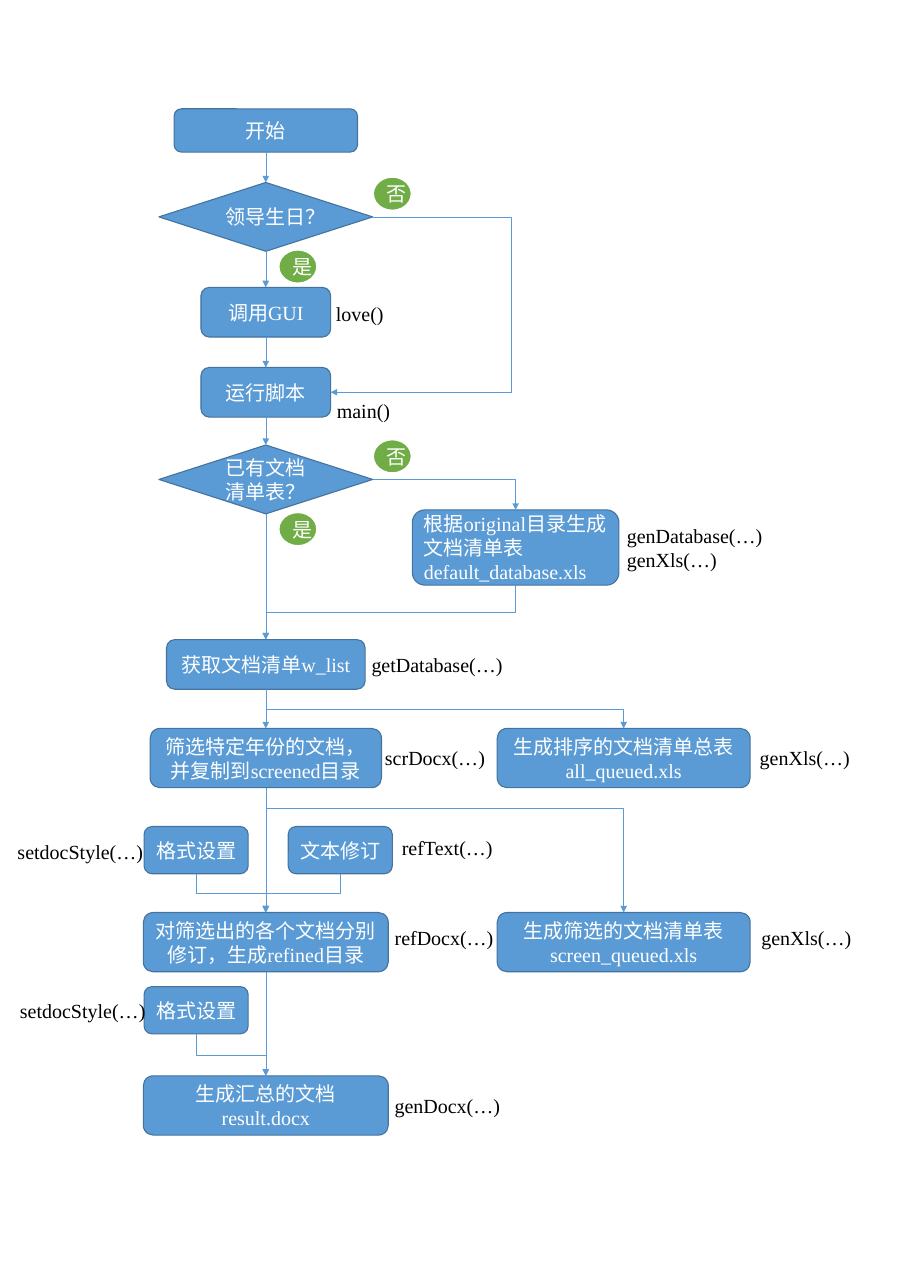
from pptx import Presentation, util as u
from pptx.dml.color import RGBColor
from pptx.enum import shapes as s, text as t
from pptx.oxml import parse_xml
from pptx.oxml.ns import nsdecls, qn

THEME = dict(box="5B9BD5", edge="43739E", badge="70AD47", light="FFFFFF",
             dark="000000", font="Times New Roman", size=18,
             rim=1, ring=1.5, wire=0.5)
WIDE, HIGH = 11.44, 16.09
KIND = s.MSO_SHAPE
ROUND, STEP = KIND.ROUNDED_RECTANGLE, KIND.FLOWCHART_ALTERNATE_PROCESS
ASK, DOT = KIND.FLOWCHART_DECISION, KIND.FLOWCHART_CONNECTOR
MID, LEFT = t.PP_ALIGN.CENTER, t.PP_ALIGN.LEFT
TOP, BOTTOM, RIGHT = 0, 2, 3  # connection sites

# Columns (centre lines), rows (centre heights) and box sizes
SPINE, SIDE, BRANCH, FORMAT, REVISE = 3.32, 7.79, 6.44, 2.45, 4.25
ROW = dict(start=1.63, birth=2.71, gui=3.9, run=4.9, have=5.99, build=6.84,
           get=8.3, screen=9.47, style=10.62, refine=11.77, again=12.62,
           result=13.81)
DIAMOND, SMALL, TINY = (2.67, 0.86), (1.62, 0.62), (1.3, 0.59)
LIST, LAST = (3.16, 0.74), (3.06, 0.74)

# Name: shape, column, row, size, text
BOXES = {
    "start": (ROUND, SPINE, "start", (2.29, 0.54), "开始"),
    "birth": (ASK, SPINE, "birth", DIAMOND, "领导生日？"),
    "gui": (STEP, SPINE, "gui", SMALL, "调用GUI"),
    "run": (STEP, SPINE, "run", SMALL, "运行脚本"),
    "have": (ASK, SPINE, "have", DIAMOND, "已有文档清单表？"),
    "build": (STEP, BRANCH, "build", (2.58, 0.94),
              "根据original目录生成文档清单表default_database.xls"),
    "get": (STEP, SPINE, "get", (2.48, 0.62), "获取文档清单w_list"),
    "screen": (STEP, SPINE, "screen", (2.89, 0.74),
               "筛选特定年份的文档，并复制到screened目录"),
    "all": (STEP, SIDE, "screen", LIST, "生成排序的文档清单总表all_queued.xls"),
    "style": (STEP, FORMAT, "style", TINY, "格式设置"),
    "revise": (STEP, REVISE, "style", TINY, "文本修订"),
    "refine": (STEP, SPINE, "refine", LAST,
               "对筛选出的各个文档分别修订，生成refined目录"),
    "queue": (STEP, SIDE, "refine", LIST, "生成筛选的文档清单表screen_queued.xls"),
    "again": (STEP, FORMAT, "again", TINY, "格式设置"),
    "result": (STEP, SPINE, "result", LAST, "生成汇总的文档\nresult.docx"),
}

# Answers next to each question: text, offset from the question's centre
ANSWERS = [("否", 1.58, -0.29), ("是", 0.4, 0.62)]

# Function names: text, left, middle, width, alignment
LABELS = [
    ("love() ", 4.09, 3.92, 0.87, MID),
    ("main()", 4.1, 5.13, 0.88, MID),
    ("genDatabase(…)\ngenXls(…) ", 7.73, 6.85, 1.91, LEFT),
    ("getDatabase(…) ", 4.53, 8.3, 1.92, MID),
    ("scrDocx(…) ", 4.71, 9.47, 1.53, LEFT),
    ("genXls(…) ", 9.39, 9.47, 1.4, LEFT),
    ("setdocStyle(…) ", 0.12, 10.64, 1.85, LEFT),
    ("refText(…) ", 4.92, 10.59, 1.41, LEFT),
    ("refDocx(…) ", 4.83, 11.71, 1.51, LEFT),
    ("genXls(…) ", 9.41, 11.71, 1.4, LEFT),
    ("setdocStyle(…) ", 0.15, 12.62, 1.85, LEFT),
    ("genDocx(…) ", 4.83, 13.81, 1.6, LEFT),
]

# Arrows: the spine runs straight down, the others bend
CHAIN = ["start", "birth", "gui", "run", "have", "get", "screen", "refine",
         "result"]
# From, site, to, site, route, share of the way to the bend
BENDS = [
    ("birth", RIGHT, "run", RIGHT, "across", -3.3),
    ("have", RIGHT, "build", TOP, "corner", None),
    ("build", BOTTOM, "get", TOP, "down", 0.5),
    ("get", BOTTOM, "all", TOP, "down", 0.5),
    ("screen", BOTTOM, "queue", TOP, "down", 0.165),
    ("style", BOTTOM, "refine", TOP, "down", 0.5),
    ("revise", BOTTOM, "refine", TOP, "down", 0.5),
    ("again", BOTTOM, "result", TOP, "down", 0.5),
]

deck = Presentation()
deck.slide_width, deck.slide_height = u.Inches(WIDE), u.Inches(HIGH)
page = deck.slides.add_slide(deck.slide_layouts[6])


def tint(name):
    return RGBColor.from_string(THEME[name])


def apply(item, **form):
    for key, value in form.items():
        setattr(item, key, value)


def write(frame, words, ink, align, **form):
    frame.text = words
    apply(frame, **form)
    for para in frame.paragraphs:
        para.alignment = align
        for run in para.runs:
            apply(run.font, name=THEME["font"], size=u.Pt(THEME["size"]))
            run.font.color.rgb = tint(ink)


def place(x, y, w, h):
    return [u.Inches(v) for v in (x - w / 2, y - h / 2, w, h)]


def block(kind, x, y, size, words, fill, edge, rim, align=MID):
    item = page.shapes.add_shape(kind, *place(x, y, *size))
    item.shadow.inherit = False
    item.fill.solid()
    item.fill.fore_color.rgb = tint(fill)
    item.line.color.rgb = tint(edge)
    item.line.width = u.Pt(THEME[rim])
    write(item.text_frame, words, "light", align, word_wrap=True,
          vertical_anchor=t.MSO_ANCHOR.MIDDLE)
    return item


def turn(wire, form):
    """Make an elbow leave vertically: swap its sides and rotate it."""
    x1, y1, x2, y2 = wire.begin_x, wire.begin_y, wire.end_x, wire.end_y
    w, h = abs(y2 - y1), abs(x2 - x1)
    apply(wire, left=(x1 + x2 - w) // 2, top=(y1 + y2 - h) // 2,
          width=w, height=h)
    for key in ("flipH", "flipV"):
        form.attrib.pop(key, None)
    form.set("rot", str((270 if x2 > x1 else 90) * 60000))
    if x2 > x1:
        form.set("flipH", "1")


def link(start, out, end, into, route="straight", bend=None):
    sort = s.MSO_CONNECTOR
    wire = page.shapes.add_connector(
        sort.STRAIGHT if route == "straight" else sort.ELBOW, 0, 0, 0, 0)
    wire.begin_connect(nodes[start], out)
    wire.end_connect(nodes[end], into)
    wire.line.color.rgb = tint("box")
    wire.line.width = u.Pt(THEME["wire"])
    props = wire.element.spPr
    props.find(qn("a:ln")).append(
        parse_xml(f'<a:tailEnd {nsdecls("a")} type="triangle"/>'))
    props.append(parse_xml(f'<a:effectLst {nsdecls("a")}/>'))
    shape = props.find(qn("a:prstGeom"))
    if route == "corner":
        shape.set("prst", "bentConnector2")
    if route == "down":
        turn(wire, props.find(qn("a:xfrm")))
    if bend is not None:
        for old in list(shape):
            shape.remove(old)
        shape.append(parse_xml(
            f'<a:avLst {nsdecls("a")}><a:gd name="adj1" '
            f'fmla="val {round(bend * 100000)}"/></a:avLst>'))


# Steps and questions
nodes = {}
for name, (kind, x, row, size, words) in BOXES.items():
    nodes[name] = block(kind, x, ROW[row], size, words, "box", "edge", "rim",
                        LEFT if name == "build" else MID)

# Yes and no badges
for ask in ("birth", "have"):
    for words, dx, dy in ANSWERS:
        block(DOT, SPINE + dx, ROW[ask] + dy, (0.48, 0.42), words,
              "badge", "light", "ring")

# Arrows
for start, end in zip(CHAIN, CHAIN[1:]):
    link(start, BOTTOM, end, TOP)
for bend in BENDS:
    link(*bend)

# Function names
for words, x, y, w, align in LABELS:
    h = 0.4 + 0.31 * words.count("\n")
    note = page.shapes.add_textbox(*place(x + w / 2, y, w, h))
    write(note.text_frame, words, "dark", align, word_wrap=False,
          auto_size=t.MSO_AUTO_SIZE.SHAPE_TO_FIT_TEXT)

deck.save("out.pptx")
